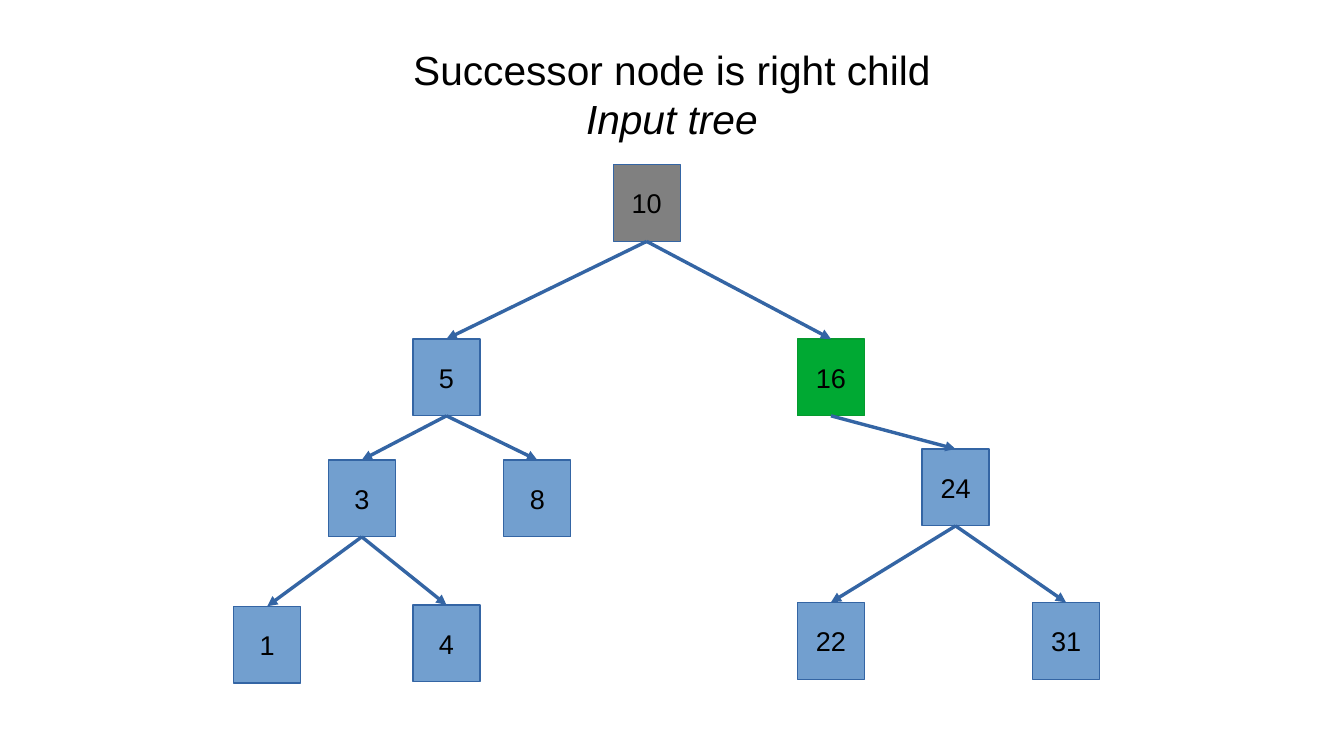
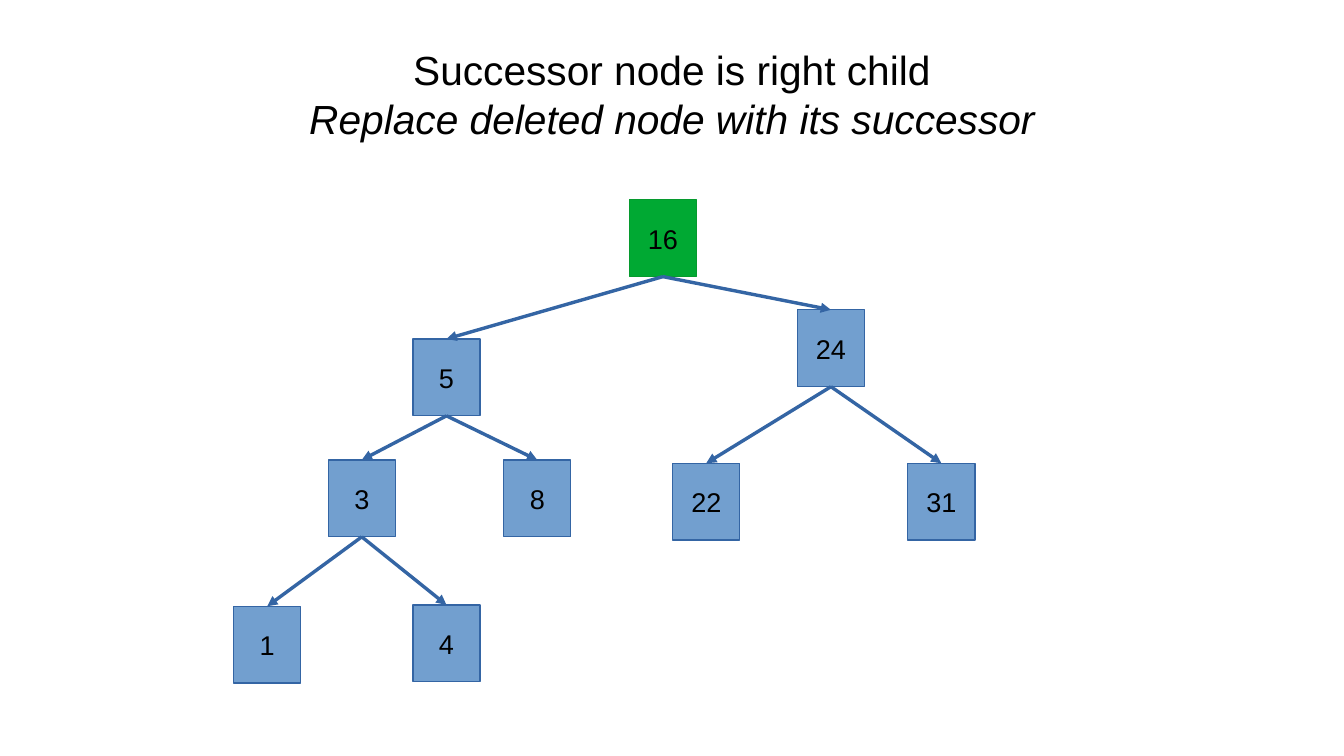
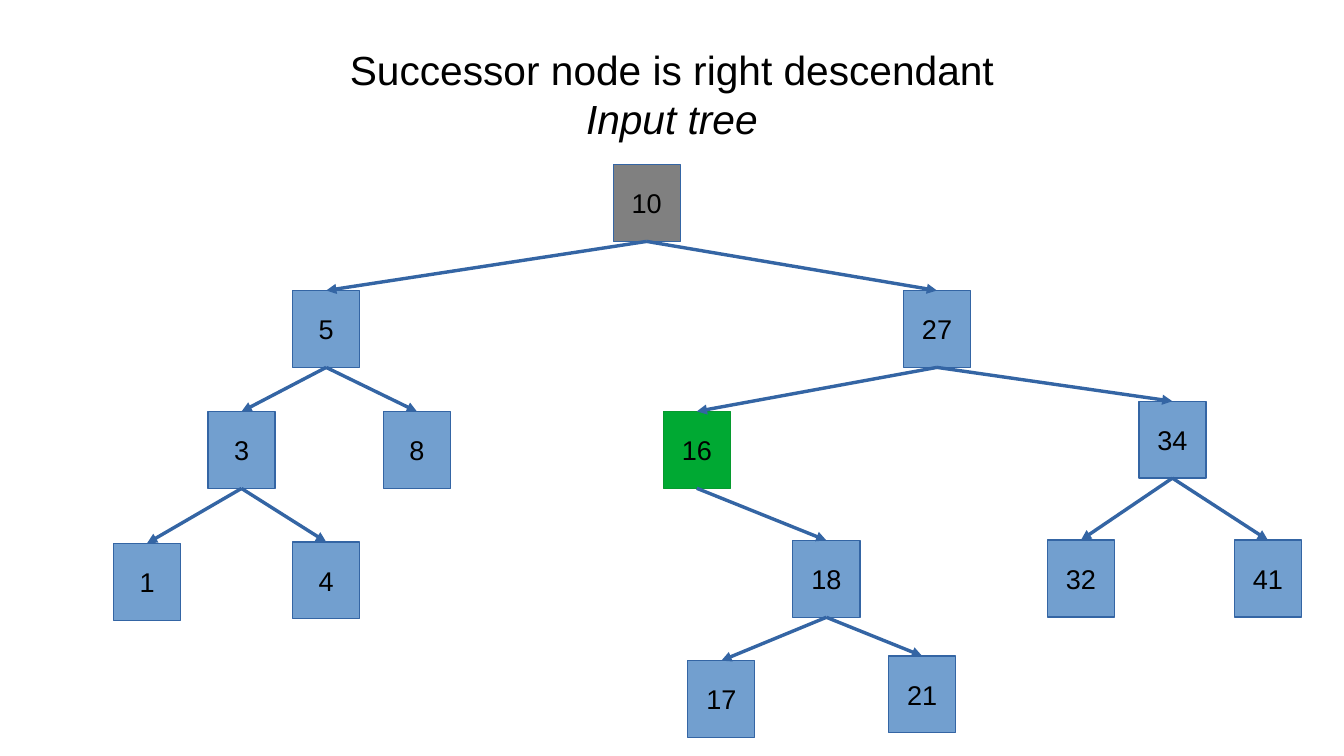
"""Build three slides that show node deletion in a binary search tree."""
from dataclasses import dataclass
from typing import Optional

from lxml import etree
from pptx import Presentation
from pptx import util as u
from pptx.dml.color import RGBColor
from pptx.enum import shapes, text
from pptx.oxml import ns

BLACK = RGBColor(0x00, 0x00, 0x00)
BLUE = RGBColor(0x72, 0x9F, 0xCF)
DARK_BLUE = RGBColor(0x34, 0x65, 0xA4)
GREEN = RGBColor(0x00, 0xA9, 0x33)
DARK_GREEN = RGBColor(0x06, 0x9A, 0x2E)
GRAY = RGBColor(0x80, 0x80, 0x80)

FONT = "Arial"
TITLE_SIZE = 24
NODE_SIZE = 16
NODE_WIDTH, NODE_HEIGHT = 39.6, 45.4
BOTTOM_SITE, TOP_SITE = 2, 0


@dataclass(frozen=True)
class Style:
    fill: RGBColor = BLUE
    line: RGBColor = DARK_BLUE


NORMAL = Style()
DELETED = Style(fill=GRAY)
SUCCESSOR = Style(GREEN, DARK_GREEN)


@dataclass(frozen=True)
class Node:
    """A tree node, placed relative to its parent; the root is placed on the slide."""

    value: int
    dx: float
    dy: float
    children: tuple["Node", ...] = ()
    style: Style = NORMAL


@dataclass(frozen=True)
class TreeSlide:
    heading: str
    step: str
    root: Node


def lower_branch(dx: float, dy: float, leaf_drop: float) -> Node:
    """Return the subtree of 5, which every slide shows."""
    leaves = (Node(4, 50, leaf_drop), Node(1, -55.8, leaf_drop + 0.8))
    return Node(5, dx, dy, (Node(8, 53.6, 71.5), Node(3, -50, 71.5, leaves)))


def upper_branch(dx: float, dy: float) -> Node:
    """Return the subtree of 24, which moves up when 16 replaces 10."""
    return Node(24, dx, dy, (Node(22, -73.6, 90.6), Node(31, 65.2, 90.6)))


def descendant_branch() -> Node:
    """Return the subtree of 27, with the successor deeper inside."""
    branch_18 = Node(18, 76.5, 76.2, (Node(21, 56.5, 68.2), Node(17, -62, 71)))
    branch_16 = Node(16, -141.8, 71.4, (branch_18,), SUCCESSOR)
    branch_34 = Node(34, 139, 65.4, (Node(32, -54, 82), Node(41, 56.4, 82)))
    return Node(27, 171.4, 74.4, (branch_34, branch_16))


RIGHT_CHILD = "Successor node is right child"
TREE_SLIDES = (
    TreeSlide(RIGHT_CHILD, "Input tree", Node(10, 362, 97.2, (
        lower_branch(-118.2, 103, 85.6),
        Node(16, 108.8, 103, (upper_branch(73.6, 65),), SUCCESSOR),
    ), DELETED)),
    TreeSlide(RIGHT_CHILD, "Replace deleted node with its successor", Node(16, 371.6, 118, (
        lower_branch(-127.8, 82.2, 85.6),
        upper_branch(99.2, 65),
    ), SUCCESSOR)),
    TreeSlide("Successor node is right descendant", "Input tree", Node(10, 362, 97.2, (
        lower_branch(-189.2, 74.4, 77),
        descendant_branch(),
    ), DELETED)),
)


def add_run(paragraph, words: str, size: float, italic: Optional[bool] = None) -> None:
    """Append one black run to a paragraph."""
    run = paragraph.add_run()
    run.text = words
    run.font.name = FONT
    run.font.size = u.Pt(size)
    run.font.italic = italic
    run.font.color.rgb = BLACK


def set_title(slide, heading: str, step: str) -> None:
    """Place the title and write its heading and its step in italics."""
    title = slide.shapes.title
    title.left, title.top = u.Pt(39.6), u.Pt(18)
    title.width, title.height = u.Pt(714.2), u.Pt(75)
    frame = title.text_frame
    frame.margin_left = frame.margin_right = frame.margin_top = frame.margin_bottom = 0
    frame.vertical_anchor = text.MSO_ANCHOR.MIDDLE
    frame.auto_size = text.MSO_AUTO_SIZE.NONE
    frame.word_wrap = True
    paragraph = frame.paragraphs[0]
    paragraph.alignment = text.PP_ALIGN.CENTER
    add_run(paragraph, heading, TITLE_SIZE)
    paragraph.add_line_break()
    add_run(paragraph, step, TITLE_SIZE, italic=True)


def add_box(slide, node: Node, left: float, top: float):
    """Draw one node as a rectangle with its value."""
    shape = slide.shapes.add_shape(
        shapes.MSO_SHAPE.RECTANGLE, u.Pt(left), u.Pt(top), u.Pt(NODE_WIDTH), u.Pt(NODE_HEIGHT)
    )
    shape.shadow.inherit = False
    shape.fill.solid()
    shape.fill.fore_color.rgb = node.style.fill
    shape.line.color.rgb = node.style.line
    shape.line.width = u.Pt(0)
    shape.text_frame.vertical_anchor = text.MSO_ANCHOR.MIDDLE
    paragraph = shape.text_frame.paragraphs[0]
    paragraph.alignment = text.PP_ALIGN.CENTER
    add_run(paragraph, str(node.value), NODE_SIZE)
    return shape


def add_arrow(slide, parent, child) -> None:
    """Connect the bottom of the parent to the top of the child."""
    connector = slide.shapes.add_connector(shapes.MSO_CONNECTOR.STRAIGHT, 0, 0, 0, 0)
    connector.begin_connect(parent, BOTTOM_SITE)
    connector.end_connect(child, TOP_SITE)
    connector.line.color.rgb = DARK_BLUE
    connector.line.width = u.Pt(0)
    properties = connector.element.spPr
    etree.SubElement(properties.find(ns.qn("a:ln")), ns.qn("a:tailEnd"), type="triangle")
    etree.SubElement(properties, ns.qn("a:effectLst"))


def add_tree(slide, node: Node, left: float = 0, top: float = 0):
    """Draw a node, its subtrees and the arrows to them."""
    left, top = left + node.dx, top + node.dy
    shape = add_box(slide, node, left, top)
    for child in node.children:
        add_arrow(slide, shape, add_tree(slide, child, left, top))
    return shape


def main() -> None:
    """Build and save the presentation."""
    presentation = Presentation()
    presentation.slide_width, presentation.slide_height = u.Pt(793.5), u.Pt(446.5)
    title_style = presentation.slide_master.element.find(".//" + ns.qn("p:titleStyle"))
    title_style.find(".//" + ns.qn("a:defRPr")).set("sz", str(TITLE_SIZE * 100))
    title_only = presentation.slide_layouts.get_by_name("Title Only")
    for tree_slide in TREE_SLIDES:
        slide = presentation.slides.add_slide(title_only)
        set_title(slide, tree_slide.heading, tree_slide.step)
        add_tree(slide, tree_slide.root)
    presentation.save("out.pptx")


main()
